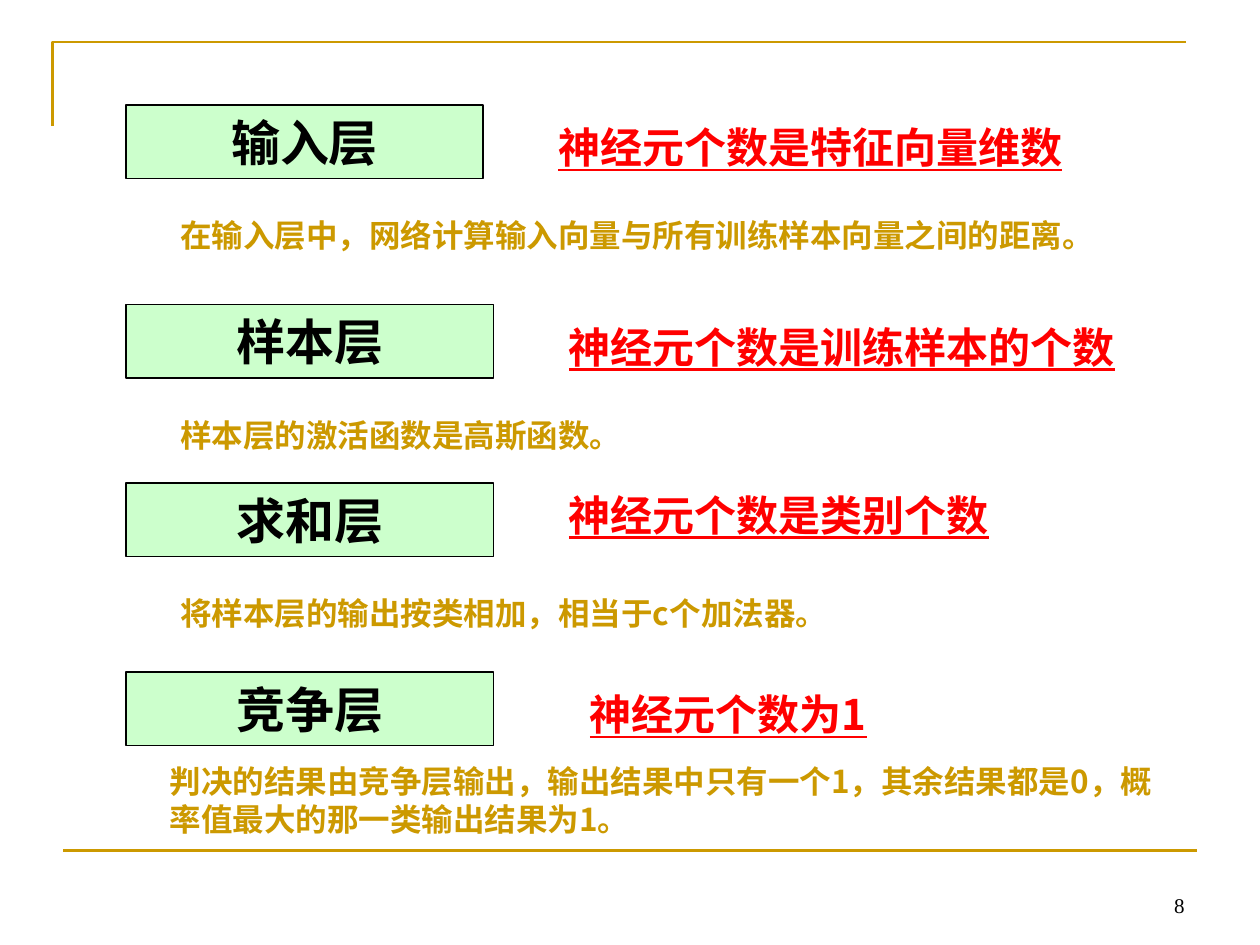
import pptx
import pptx.util
import pptx.dml.color
import pptx.enum.shapes
import pptx.enum.text
import lxml.etree

Pt = pptx.util.Pt
ALIGN = pptx.enum.text.PP_ALIGN
ANCHOR = pptx.enum.text.MSO_ANCHOR
SHAPE = pptx.enum.shapes.MSO_SHAPE
SANS, SERIF = "Noto Sans CJK SC", "Times New Roman"
GOLD, RED, GREEN, BLACK = "CC9900", "FF0000", "CCFFCC", "000000"
A_NS = "{http://schemas.openxmlformats.org/drawingml/2006/main}"

NAME = {"size": Pt(28), "bold": True, "name": SERIF}
COUNT = {"size": Pt(24), "bold": True, "underline": True}
NOTE = {"size": Pt(18), "bold": True, "name": SANS}
PAGE = {"size": Pt(12), "name": SERIF}

# Per layer: top, name, name width, count (left, top, width, font, text),
# note (left, top, width, height, text); lefts and tops are from the layer's corner
LAYERS = [
    (60, "输入层", 204,
     (240, 6, 342, "Arial", "神经元个数是特征向量维数"),
     (24, 60, 583, 29, "在输入层中，网络计算输入向量与所有训练样本向量之间的距离。")),
    (174, "样本层", 210,
     (246, 6, 348, "Arial", "神经元个数是训练样本的个数"),
     (24, 60, 504, 29, "样本层的激活函数是高斯函数。")),
    (276, "求和层", 210,
     (246, 0, 276, SERIF, "神经元个数是类别个数"),
     (24, 60, 528, 29, "将样本层的输出按类相加，相当于c个加法器。")),
    (384, "竞争层", 210,
     (258, 6, 204, SANS, "神经元个数为1"),
     (18, 48, 582, 50.4,
      "判决的结果由竞争层输出，输出结果中只有一个1，其余结果都是0，概率值最大的那一类输出结果为1。")),
]


def tint(code):
    return pptx.dml.color.RGBColor.from_string(code)


def pen(line, code, width):
    line.color.rgb = tint(code)
    line.width = Pt(width)


def write(shape, text, style, code, align=ALIGN.LEFT, anchor=ANCHOR.TOP, pad=(7.2, 3.6), gap=0):
    frame = shape.text_frame
    side, edge = map(Pt, pad)
    form = {"word_wrap": True, "vertical_anchor": anchor, "margin_left": side,
            "margin_right": side, "margin_top": edge, "margin_bottom": edge}
    for key, value in form.items():
        setattr(frame, key, value)
    para = frame.paragraphs[0]
    para.alignment = align
    para.space_before = Pt(gap)
    run = para.add_run()
    run.text = text
    for key, value in style.items():
        setattr(run.font, key, value)
    run.font.color.rgb = tint(code)
    # East Asian typeface
    lxml.etree.SubElement(run._r.get_or_add_rPr(), A_NS + "ea", typeface=SANS)


def label(slide, box, text, style, code, **form):
    shape = slide.shapes.add_textbox(*map(Pt, box))
    write(shape, text, style, code, **form)


def border(slide, left, top, width, height):
    # Corner rule at the top left
    path = slide.shapes.build_freeform(Pt(left), Pt(top + 48), scale=1.0)
    path.add_line_segments([(Pt(left), Pt(top)), (Pt(left + 648), Pt(top))], close=False)
    corner = path.convert_to_shape()
    corner.shadow.inherit = False
    corner.fill.background()
    pen(corner.line, GOLD, 1.5)
    # Rule along the foot
    foot = slide.shapes.add_connector(
        pptx.enum.shapes.MSO_CONNECTOR.STRAIGHT,
        Pt(left + 6), Pt(top + height), Pt(left + width), Pt(top + height))
    pen(foot.line, GOLD, 1.5)
    lxml.etree.SubElement(foot._element.spPr, A_NS + "effectLst")


def layer(slide, left, top, name, width, count, note):
    # Name box
    box = slide.shapes.add_shape(SHAPE.RECTANGLE, Pt(left), Pt(top), Pt(width), Pt(42))
    box.shadow.inherit = False
    box.fill.solid()
    box.fill.fore_color.rgb = tint(GREEN)
    pen(box.line, BLACK, 0.75)
    write(box, name, NAME, BLACK, ALIGN.CENTER, ANCHOR.MIDDLE, (0, 0))
    # Neuron count
    x, y, w, font, text = count
    label(slide, (left + x, top + y, w, 36), text, {**COUNT, "name": font}, RED, gap=15)
    # Explanation
    x, y, w, h, text = note
    label(slide, (left + x, top + y, w, h), text, NOTE, GOLD, anchor=ANCHOR.MIDDLE)


def main():
    deck = pptx.Presentation()
    deck.slide_width, deck.slide_height = Pt(720), Pt(540)
    slide = deck.slides.add_slide(deck.slide_layouts[6])
    border(slide, 30, 24, 654, 462)
    label(slide, (516, 492, 168, 36), "8", PAGE, BLACK,
          align=ALIGN.RIGHT, anchor=ANCHOR.BOTTOM)
    for top, *parts in LAYERS:
        layer(slide, 72, top, *parts)
    deck.save("out.pptx")


if __name__ == "__main__":
    main()
